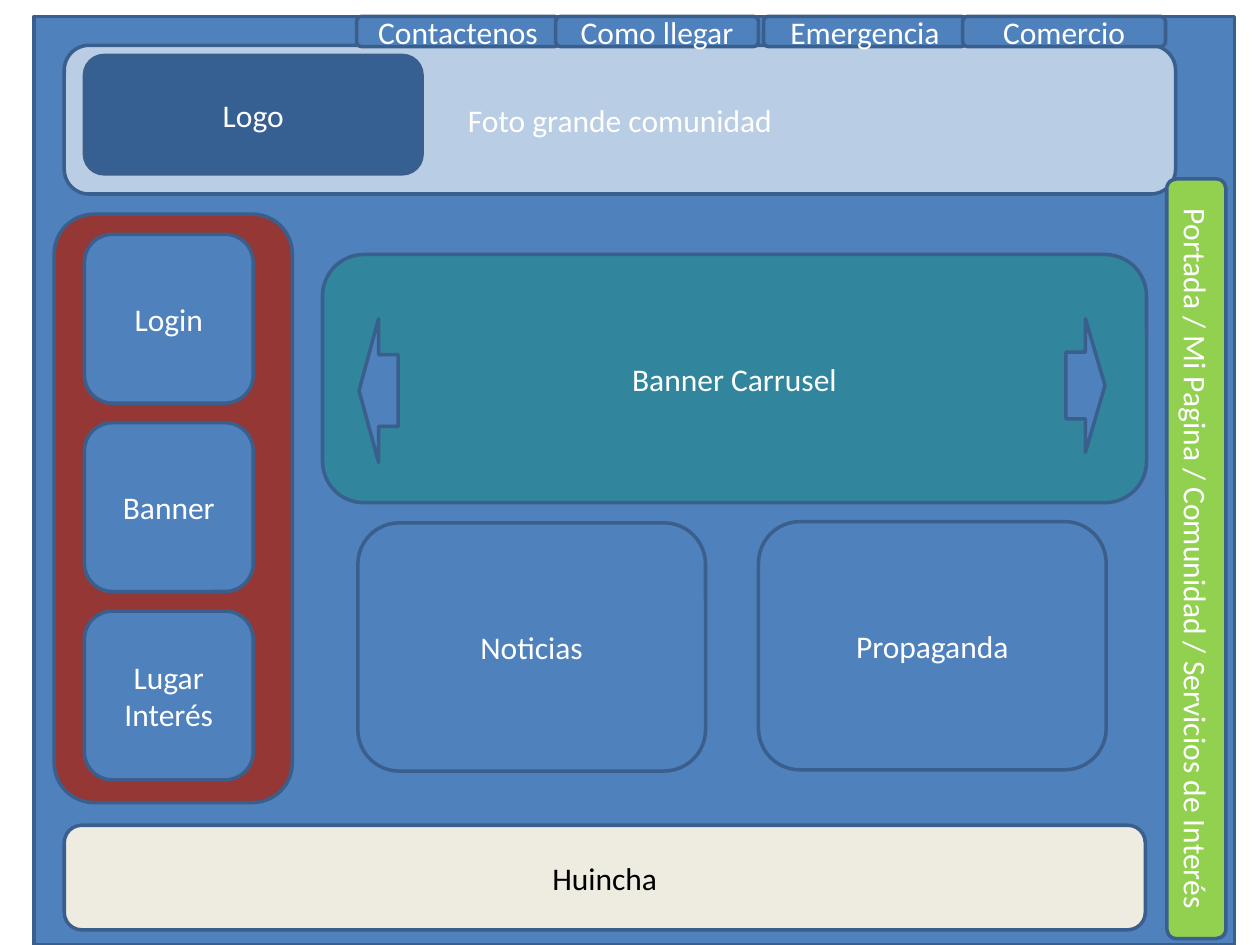
from dataclasses import dataclass

from pptx import Presentation
from pptx import util as u
from pptx.dml.color import RGBColor
from pptx.enum import shapes, text

COLS, ROWS = 100, 75
WIDTH, HEIGHT = u.Inches(10), u.Inches(7.5)
KIND = shapes.MSO_SHAPE


@dataclass(frozen=True)
class Theme:
    font: str = "Calibri"
    size: int = 18
    rule: int = 2
    line: str = "3A5F8C"
    base: str = "4F81BD"
    pale: str = "B9CDE5"
    deep: str = "376092"
    red: str = "953735"
    teal: str = "31859C"
    green: str = "92D050"
    cream: str = "EEECE1"
    white: str = "FFFFFF"
    black: str = "000000"


@dataclass(frozen=True)
class Box:
    """A rectangle in columns and rows of the slide grid."""
    x: float
    y: float
    w: float
    h: float

    def inner(self, dx, dy, w, h):
        """Return a box set off from this one's top left corner."""
        return Box(self.x + dx, self.y + dy, w, h)


THEME = Theme()


def add_block(slide, box, fill, label="", ink=THEME.white, kind=KIND.ROUNDED_RECTANGLE):
    col, row = WIDTH / COLS, HEIGHT / ROWS
    shape = slide.shapes.add_shape(
        kind, round(box.x * col), round(box.y * row),
        round(box.w * col), round(box.h * row))
    shape.shadow.inherit = False
    shape.fill.solid()
    shape.fill.fore_color.rgb = RGBColor.from_string(fill)
    shape.line.color.rgb = RGBColor.from_string(THEME.line)
    shape.line.width = u.Pt(THEME.rule)
    if label:
        frame = shape.text_frame
        frame.word_wrap = True
        frame.vertical_anchor = text.MSO_ANCHOR.MIDDLE
        para = frame.paragraphs[0]
        para.text = label
        para.alignment = text.PP_ALIGN.CENTER
        font = para.runs[0].font
        font.name, font.size = THEME.font, u.Pt(THEME.size)
        font.color.rgb = RGBColor.from_string(ink)
    return shape


def add_header(slide, box):
    add_block(slide, box, THEME.pale, "Foto grande comunidad")
    add_block(slide, box.inner(1.6, 0.8, 26.8, 9.4), THEME.deep, "Logo")


def add_side(slide, box):
    add_block(slide, box, THEME.red)
    side, step = 13.4, 14.95
    for i, label in enumerate(("Login", "Banner", "Lugar Interés")):
        add_block(slide, box.inner(2.4, 1.6 + i * step, side, side), THEME.base, label)


def add_slider(slide, box):
    add_block(slide, box, THEME.teal, "Banner Carrusel")
    wide, inset, drop = 3.1, 2.9, 5.1
    add_block(slide, box.inner(box.w - inset - wide - 0.4, drop, wide, 10.6),
              THEME.base, kind=KIND.RIGHT_ARROW)
    back = add_block(slide, box.inner(inset, drop, wide, 11.4),
                     THEME.base, kind=KIND.RIGHT_ARROW)
    back.element.spPr.xfrm.set("flipH", "1")


def add_tabs(slide, box):
    """Place the tabs in two pairs, each pair overlapping slightly."""
    wide, step = 16.1, 15.8
    pair = box.w - step - wide
    labels = ("Contactenos", "Como llegar", "Emergencia", "Comercio")
    for i, label in enumerate(labels):
        left = i // 2 * pair + i % 2 * step
        add_block(slide, box.inner(left, 0, wide, box.h), THEME.base, label)


def add_panels(slide, box):
    wide, high = 27.6, 19.7
    add_block(slide, box.inner(0, box.h - high, wide, high), THEME.base, "Noticias")
    add_block(slide, box.inner(box.w - wide, 0, wide, high), THEME.base, "Propaganda")


def add_menu(slide, box):
    """Turn a flat bar a quarter round so that it fills the upright box."""
    shift = (box.h - box.w) / 2
    bar = add_block(slide, box.inner(-shift, shift, box.h, box.w), THEME.green,
                    "Portada / Mi Pagina / Comunidad / Servicios de Interés")
    bar.rotation = 90


def main():
    deck = Presentation()
    deck.slide_width, deck.slide_height = WIDTH, HEIGHT
    slide = deck.slides.add_slide(deck.slide_layouts[6])
    add_block(slide, Box(2.7, 1.3, 95.3, 73.7), THEME.base, kind=KIND.RECTANGLE)
    add_header(slide, Box(5.1, 3.6, 88.2, 11.8))
    add_side(slide, Box(4.3, 17, 18.9, 46.7))
    add_slider(slide, Box(25.6, 20.2, 65.4, 19.7))
    add_tabs(slide, Box(28.3, 1.3, 64.2, 2.4))
    add_panels(slide, Box(28.4, 41.4, 59.4, 19.8))
    add_block(slide, Box(5.1, 65.5, 85.8, 8.3), THEME.cream, "Huincha", THEME.black)
    add_menu(slide, Box(92.6, 14.2, 4.7, 60.3))
    deck.save("out.pptx")


if __name__ == "__main__":
    main()
